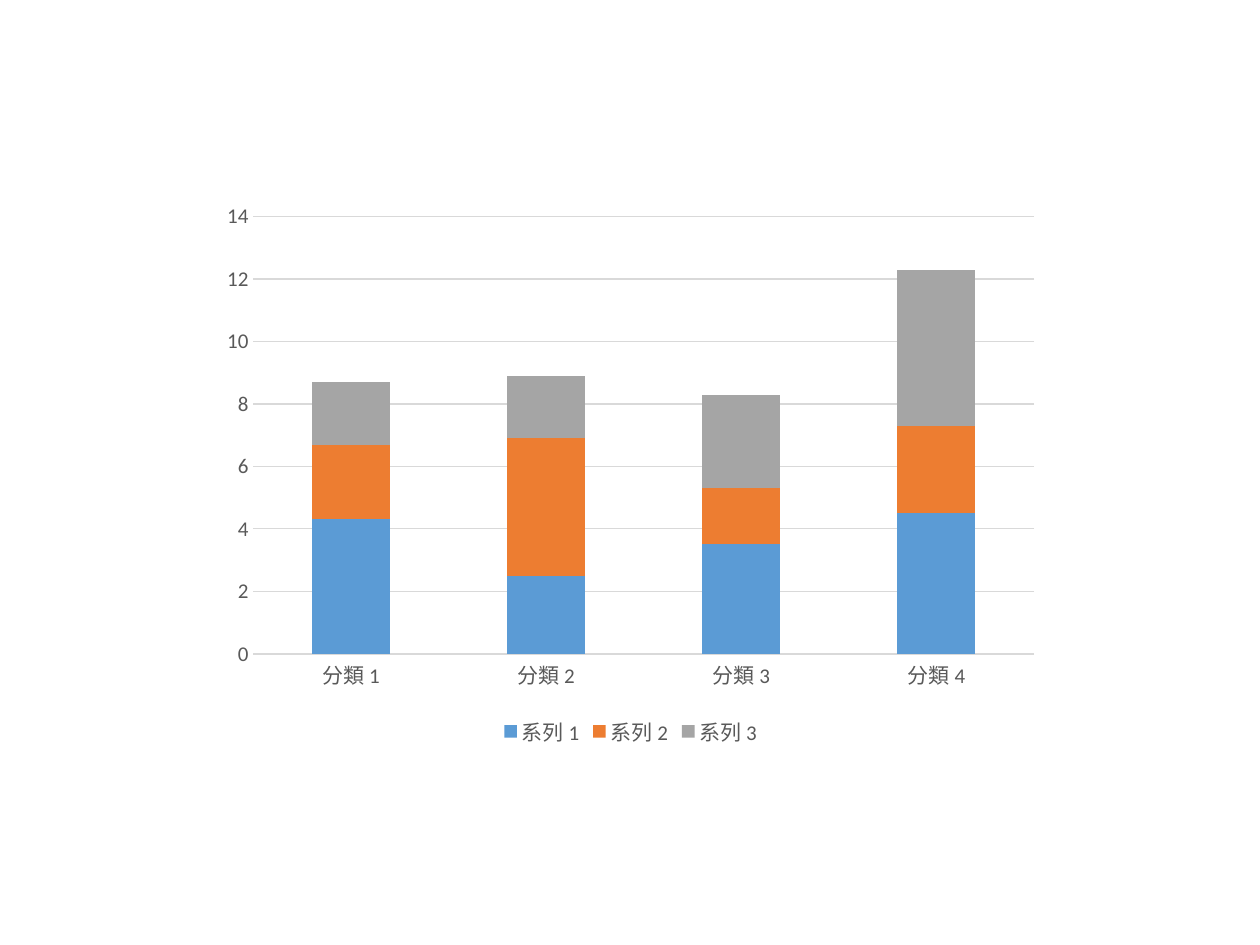
from pptx import Presentation
from pptx.chart.data import CategoryChartData
from pptx.dml.color import RGBColor
from pptx.enum.chart import XL_CHART_TYPE, XL_LEGEND_POSITION, XL_TICK_MARK
from pptx.util import Inches, Pt

STACKED = XL_CHART_TYPE.COLUMN_STACKED
BOTTOM = XL_LEGEND_POSITION.BOTTOM
NO_TICK = XL_TICK_MARK.NONE

COLORS = {
    "background": "FFFFFF",
    "base": "000000",
    "label": "595959",
    "rule": "D9D9D9",
    "系列 1": "5B9BD5",
    "系列 2": "ED7D31",
    "系列 3": "A5A5A5",
}
CATEGORIES = ["分類 1", "分類 2", "分類 3", "分類 4"]
SERIES = {
    "系列 1": [4.3, 2.5, 3.5, 4.5],
    "系列 2": [2.4, 4.4, 1.8, 2.8],
    "系列 3": [2, 2, 3, 5],
}


class SlideBuilder:
    font_name = "Calibri"
    label_size = 12
    rule_width = 0.75

    def __init__(self, slide):
        self.slide = slide

    def color(self, name):
        return RGBColor.from_string(COLORS[name])

    def background(self):
        fill = self.slide.background.fill
        fill.solid()
        fill.fore_color.rgb = self.color("background")

    def style_font(self, font, size, color):
        font.name = self.font_name
        font.size = Pt(size)
        font.color.rgb = self.color(color)

    def style_line(self, line):
        line.color.rgb = self.color("rule")
        line.width = Pt(self.rule_width)

    def style_axis(self, axis):
        axis.major_tick_mark = NO_TICK
        axis.minor_tick_mark = NO_TICK
        self.style_font(axis.tick_labels.font, self.label_size, "label")

    def stacked_chart(self, left, top, width, height):
        data = CategoryChartData()
        data.categories = CATEGORIES
        for name, values in SERIES.items():
            data.add_series(name, values)
        chart = self.slide.shapes.add_chart(
            STACKED, Inches(left), Inches(top), Inches(width), Inches(height), data
        ).chart
        chart.has_title = False
        self.style_font(chart.font, 10, "base")

        plot = chart.plots[0]
        plot.gap_width = 150
        plot.overlap = 100
        plot.vary_by_categories = False
        for series in plot.series:
            series.format.fill.solid()
            series.format.fill.fore_color.rgb = self.color(series.name)

        self.style_axis(chart.category_axis)
        self.style_line(chart.category_axis.format.line)
        self.style_axis(chart.value_axis)
        chart.value_axis.format.line.fill.background()
        chart.value_axis.has_major_gridlines = True
        self.style_line(chart.value_axis.major_gridlines.format.line)

        chart.has_legend = True
        chart.legend.position = BOTTOM
        chart.legend.include_in_layout = False
        self.style_font(chart.legend.font, self.label_size, "label")


def main():
    presentation = Presentation()
    presentation.slide_width = Inches(10)
    presentation.slide_height = Inches(7.5)
    slide = presentation.slides.add_slide(presentation.slide_layouts[6])
    builder = SlideBuilder(slide)
    builder.background()
    builder.stacked_chart(1.67, 1.53, 6.67, 4.44)
    presentation.save("out.pptx")


if __name__ == "__main__":
    main()
